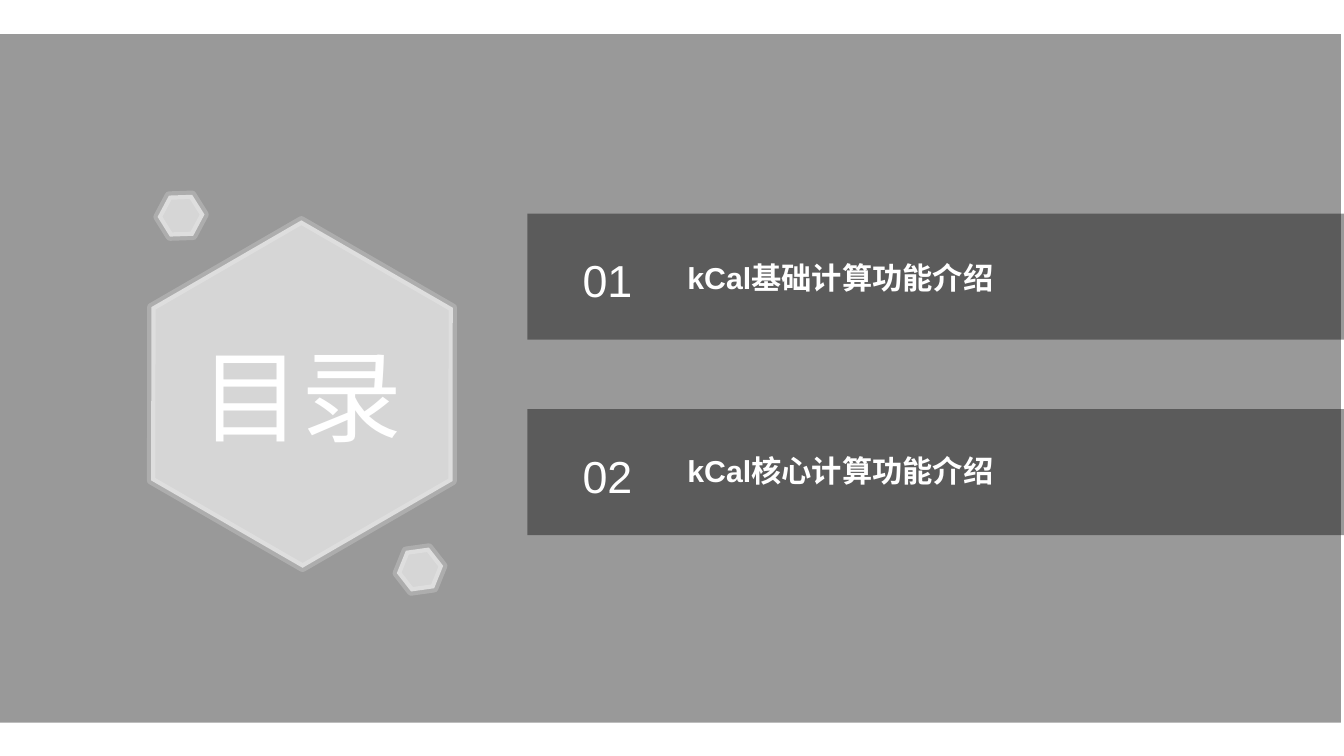
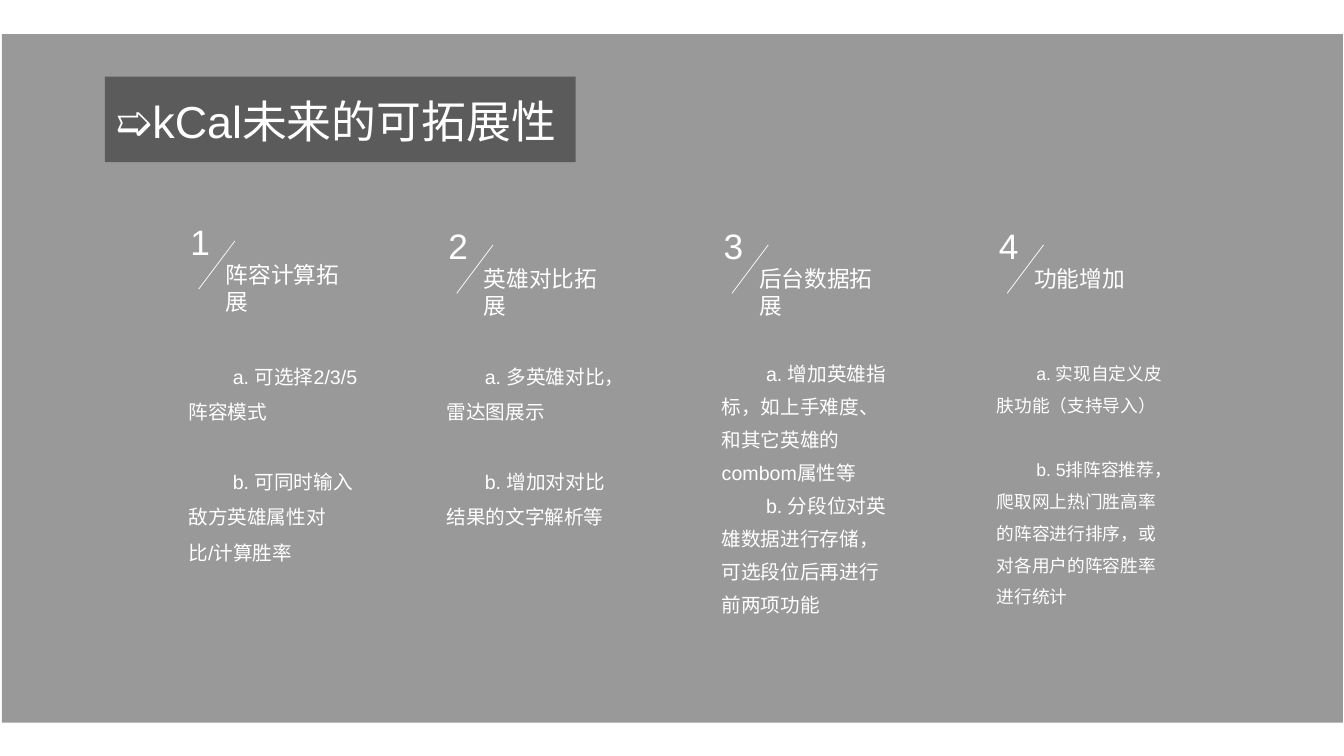
import pptx
import pptx.util
import pptx.dml.color
import pptx.enum.shapes
import pptx.enum.text
import pptx.oxml
import pptx.oxml.ns
import lxml.etree

# Shared look
PX = 9144  # EMU per px, 100 px to the inch
WHITE = pptx.dml.color.RGBColor(0xFF, 0xFF, 0xFF)
BLACK = pptx.dml.color.RGBColor(0, 0, 0)
FONT = "Arial"
SYMBOL_FONT = "Noto Sans CJK SC"
SHAPE = pptx.enum.shapes.MSO_SHAPE
CENTER = pptx.enum.text.PP_ALIGN.CENTER
MIDDLE = pptx.enum.text.MSO_ANCHOR.MIDDLE
PANEL_TOP, PANEL_W, PANEL_H = 34, 1330, 683

# Contents slide
CONTENTS_TITLE = "目录"
HEXAGONS = [  # left, top, width, height, rotation
    (127, 242, 345, 298, 30),
    (156, 194, 47, 40, 118),
    (393, 545, 47, 40, 112),
]
CHAPTERS = [  # band top, number, name, name offset from the band top
    (212, "01", "kCal基础计算功能介绍", 40),
    (406, "02", "kCal核心计算功能介绍", 38),
]

# Outlook slide
OUTLOOK_TITLE = [("➯", SYMBOL_FONT), ("kCal未来的可拓展性", FONT)]
COLUMNS = [
    dict(left=179, top=214, heading="阵容计算拓展", width=189, size=14,
         spacing=1.5, indent=44, gap=25,
         points=["a. 可选择2/3/5阵容模式", "b. 可同时输入敌方英雄属性对比/计算胜率"]),
    dict(left=435, top=218, heading="英雄对比拓展", width=190, size=14,
         spacing=1.5, indent=38, gap=25,
         points=["a. 多英雄对比，雷达图展示", "b. 增加对对比结果的文字解析等"]),
    dict(left=708, top=218, heading="后台数据拓展", width=190, size=14,
         spacing=1.4, indent=44, gap=0,
         points=["a. 增加英雄指标，如上手难度、和其它英雄的combom属性等",
                 "b. 分段位对英雄数据进行存储，可选段位后再进行前两项功能"]),
    dict(left=981, top=218, heading="功能增加", width=190, size=12.6,
         spacing=1.5, indent=39, gap=23,
         points=["a. 实现自定义皮肤功能（支持导入）",
                 "b. 5排阵容推荐，爬取网上热门胜高率的阵容进行排序，"
                 "或对各用户的阵容胜率进行统计"]),
]
BODY_TOP, BODY_H = 345, 300


def px(*lengths):
    return [round(length * PX) for length in lengths]


def paint(fill, color, opacity):
    fill.solid()
    fill.fore_color.rgb = color
    srgb = fill._xPr.find(".//" + pptx.oxml.ns.qn("a:srgbClr"))
    alpha = lxml.etree.SubElement(srgb, pptx.oxml.ns.qn("a:alpha"))
    alpha.set("val", str(opacity * 1000))


def add_block(slide, preset, box, color, opacity):
    block = slide.shapes.add_shape(preset, *px(*box))
    block.shadow.inherit = False
    paint(block.fill, color, opacity)
    block.line.fill.background()
    return block


def add_band(slide, *box):
    return add_block(slide, SHAPE.RECTANGLE, box, BLACK, 40)


def add_panel(slide, left):
    return add_band(slide, left, PANEL_TOP, PANEL_W, PANEL_H)


def add_hexagon(slide, left, top, width, height, rotation):
    hexagon = add_block(slide, SHAPE.HEXAGON, (left, top, width, height), WHITE, 60)
    hexagon.adjustments[0] = 0.288
    hexagon.rotation = rotation
    hexagon.line.width = pptx.util.Pt(6)
    paint(hexagon.line.fill, WHITE, 20)


def add_text(slide, box, paragraphs, size, bold=False, anchor=None, indent=0, **layout):
    """Each paragraph is a string or a list of (text, font) runs."""
    frame = slide.shapes.add_textbox(*px(*box)).text_frame
    frame.word_wrap = True
    frame.vertical_anchor = anchor
    for index, content in enumerate(paragraphs):
        paragraph = frame.paragraphs[0] if index == 0 else frame.add_paragraph()
        for name, value in layout.items():
            if index or name != "space_before":
                setattr(paragraph, name, value)
        if indent:
            paragraph._p.get_or_add_pPr().set("indent", str(px(indent)[0]))
        runs = [(content, FONT)] if isinstance(content, str) else content
        for text, typeface in runs:
            run = paragraph.add_run()
            run.text = text
            look = dict(size=pptx.util.Pt(size), bold=bold, name=typeface)
            for name, value in look.items():
                setattr(run.font, name, value)
            run.font.color.rgb = WHITE
            east_asian = lxml.etree.SubElement(
                run._r.get_or_add_rPr(), pptx.oxml.ns.qn("a:ea"))
            east_asian.set("typeface", typeface)


def add_slash(slide, *ends):
    slash = slide.shapes.add_connector(
        pptx.enum.shapes.MSO_CONNECTOR.STRAIGHT, *px(*ends))
    slash.line.color.rgb = WHITE
    slash.line.width = pptx.util.Pt(0.5)
    lxml.etree.SubElement(slash._element.spPr, pptx.oxml.ns.qn("a:effectLst"))


def build_contents(slide):
    add_panel(slide, 0)
    for hexagon in HEXAGONS:
        add_hexagon(slide, *hexagon)
    add_text(slide, (178, 319, 242, 145), [CONTENTS_TITLE], 72,
             anchor=MIDDLE, alignment=CENTER)
    for top, number, name, name_offset in CHAPTERS:
        add_band(slide, 523, top, 810, 125)
        add_text(slide, (549, top + 34, 107, 64), [number], 32, alignment=CENTER)
        add_text(slide, (672, top + name_offset, 460, 50), [name], 21.6, bold=True)


def build_outlook(slide):
    add_band(slide, 104, 76, 467, 85)
    add_panel(slide, 2)
    add_text(slide, (104, 76, 533, 77), [OUTLOOK_TITLE], 32,
             anchor=MIDDLE, line_spacing=1.2)
    for number, column in enumerate(COLUMNS, 1):
        left, top = column["left"], column["top"]
        add_text(slide, (left, top, 34, 71), [str(number)], 25.2)
        add_slash(slide, left + 54, top + 25, left + 18, top + 73)
        add_text(slide, (left + 35, top + 40, 154, 40), [column["heading"]], 16.2)
        add_text(slide, (left - 2, BODY_TOP, column["width"], BODY_H),
                 column["points"], column["size"], indent=column["indent"],
                 line_spacing=column["spacing"],
                 space_before=pptx.util.Pt(column["gap"]))


def main():
    deck = pptx.Presentation()
    deck.slide_width, deck.slide_height = px(1333, 750)
    for build in (build_contents, build_outlook):
        build(deck.slides.add_slide(deck.slide_layouts[6]))
    deck.save("out.pptx")


if __name__ == "__main__":
    main()
